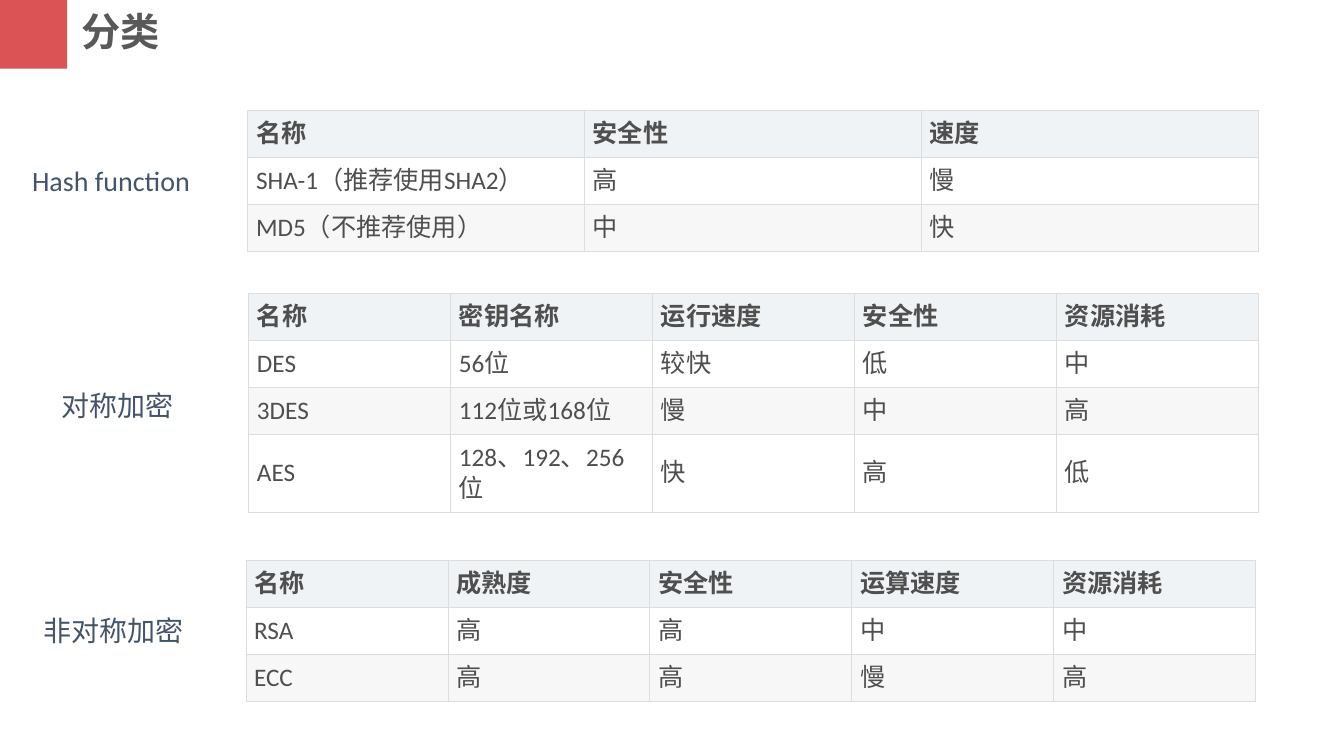
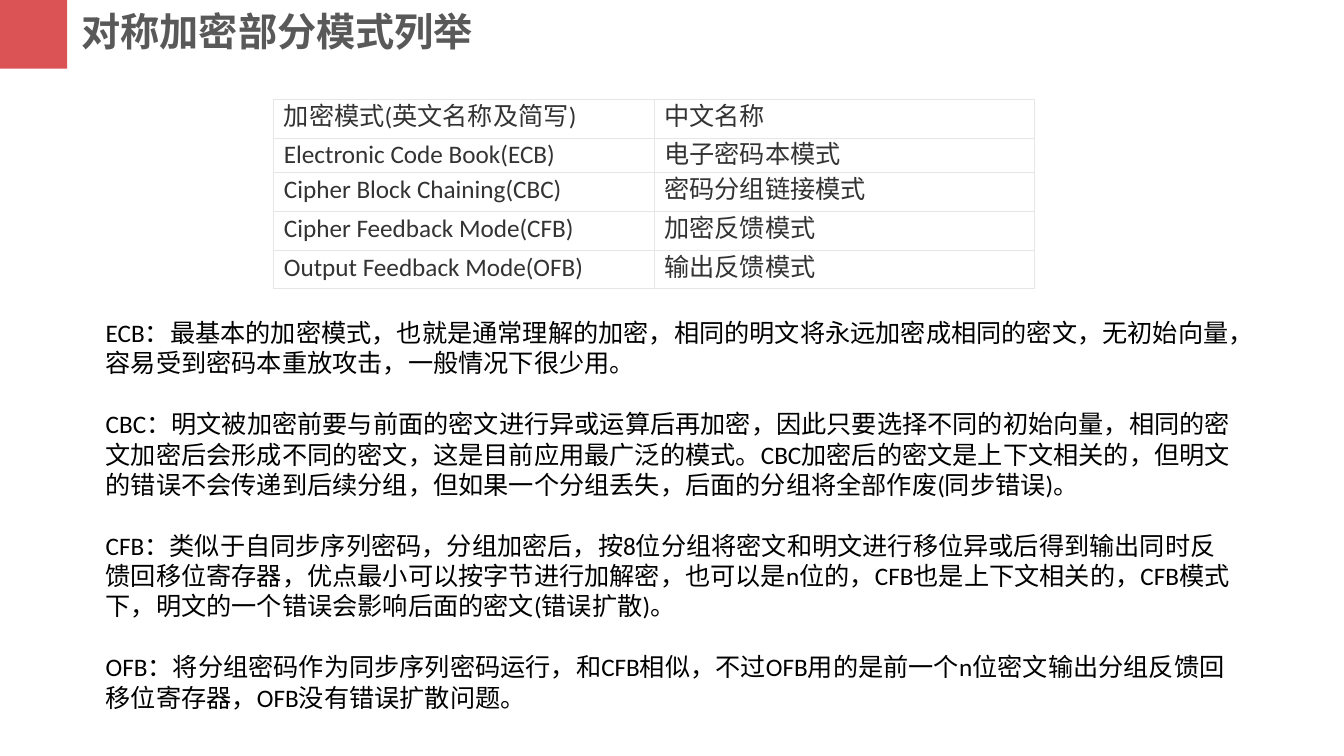
from lxml.etree import SubElement
from pptx import Presentation
from pptx.dml.color import RGBColor
from pptx.enum.shapes import MSO_SHAPE
from pptx.enum.text import MSO_ANCHOR
from pptx.oxml.ns import qn
from pptx.util import Pt

RED, TITLE_GREY, LABEL_BLUE, BLACK = "DB5355", "595959", "44546A", "000000"
TITLE_FONT, TEXT_FONT = "Noto Sans CJK SC", "Calibri"

# Slide 1: label with its place, then the table with its place
CLASSES = [
    {
        "label": "Hash function", "label_at": (15.8, 113, 129, 31.7),
        "table_at": (177.1, 78.7), "heights": [33.6] * 3,
        "rows": [
            ("名称", "安全性", "速度"),
            ("SHA-1（推荐使用SHA2）", "高", "慢"),
            ("MD5（不推荐使用）", "中", "快"),
        ],
    },
    {
        "label": "对称加密", "label_at": (36.7, 274.3, 95, 31.7),
        "table_at": (177.8, 209.5), "heights": [33.6] * 3 + [55.5],
        "rows": [
            ("名称", "密钥名称", "运行速度", "安全性", "资源消耗"),
            ("DES", "56位", "较快", "低", "中"),
            ("3DES", "112位或168位", "慢", "中", "高"),
            ("AES", "128、192、256位", "快", "高", "低"),
        ],
    },
    {
        "label": "非对称加密", "label_at": (23.8, 434.9, 115.2, 31.7),
        "table_at": (175.7, 400.3), "heights": [33.6] * 3,
        "rows": [
            ("名称", "成熟度", "安全性", "运算速度", "资源消耗"),
            ("RSA", "高", "高", "中", "中"),
            ("ECC", "高", "高", "慢", "高"),
        ],
    },
]

# Slide 2
MODES = [
    ("加密模式(英文名称及简写)", "中文名称"),
    ("Electronic Code Book(ECB)", "电子密码本模式"),
    ("Cipher Block Chaining(CBC)", "密码分组链接模式"),
    ("Cipher Feedback Mode(CFB)", "加密反馈模式"),
    ("Output Feedback Mode(OFB)", "输出反馈模式"),
]
MODE_HEIGHTS = [27.7, 24.7, 27.7, 27.7, 27.7]
MODE_NOTES = [
    "ECB：最基本的加密模式，也就是通常理解的加密，相同的明文将永远加密成相同的密文，无初始向量，容易受到密码本重放攻击，一般情况下很少用。",
    "CBC：明文被加密前要与前面的密文进行异或运算后再加密，因此只要选择不同的初始向量，相同的密文加密后会形成不同的密文，这是目前应用最广泛的模式。CBC加密后的密文是上下文相关的，但明文的错误不会传递到后续分组，但如果一个分组丢失，后面的分组将全部作废(同步错误)。",
    "CFB：类似于自同步序列密码，分组加密后，按8位分组将密文和明文进行移位异或后得到输出同时反馈回移位寄存器，优点最小可以按字节进行加解密，也可以是n位的，CFB也是上下文相关的，CFB模式下，明文的一个错误会影响后面的密文(错误扩散)。",
    "OFB：将分组密码作为同步序列密码运行，和CFB相似，不过OFB用的是前一个n位密文输出分组反馈回移位寄存器，OFB没有错误扩散问题。",
]

# Table looks: fills are for the header, odd body rows and even body rows
CLASS_LOOK = {"color": "4F4F4F", "border": "DDDDDD", "bold_header": True,
              "fills": ("EFF3F5", "FFFFFF", "F7F7F7"),
              "anchor": MSO_ANCHOR.MIDDLE, "insets": (5.8, 5.8)}
MODE_LOOK = {"color": "333333", "border": "E6E6E6", "bold_header": False,
             "fills": ("FFFFFF", "FFFFFF", "FFFFFF"),
             "anchor": MSO_ANCHOR.TOP, "insets": (7.2, 1.4)}


def rgb(value):
    return RGBColor.from_string(value)


def style(para, size, color, name=TEXT_FONT, bold=False):
    font = para.font
    font.size, font.bold, font.name = Pt(size), bold, name
    font.color.rgb = rgb(color)
    SubElement(para._p.pPr.find(qn("a:defRPr")), qn("a:ea"), typeface=name)


def add_text(page, place, texts, size, color, wrap=True, gap=0, **font):
    box = page.shapes.add_textbox(*map(Pt, place))
    frame = box.text_frame
    frame.word_wrap = wrap
    frame.text = "\n".join(texts)
    for para in frame.paragraphs:
        style(para, size, color, **font)
        para.space_after = Pt(gap)


def add_page(deck, title):
    """Add a blank slide with the red corner square and the title."""
    page = deck.slides.add_slide(deck.slide_layouts[6])
    corner = page.shapes.add_shape(MSO_SHAPE.RECTANGLE, 0, 0, Pt(48), Pt(49))
    corner.shadow.inherit = False
    corner.fill.solid()
    corner.fill.fore_color.rgb = rgb(RED)
    corner.line.fill.background()
    add_text(page, (51.1, 2, 353, 41), [title], 28, TITLE_GREY,
             name=TITLE_FONT, bold=True)
    return page


def set_borders(cell, color):
    """Put thin lines round a cell, ahead of its fill as the schema asks."""
    properties = cell._tc.get_or_add_tcPr()
    for index, side in enumerate(("lnL", "lnR", "lnT", "lnB")):
        line = SubElement(properties, qn(f"a:{side}"), w=str(Pt(0.75)))
        fill = SubElement(line, qn("a:solidFill"))
        SubElement(fill, qn("a:srgbClr"), val=color)
        properties.insert(index, line)


def add_grid(page, place, width, heights, rows, look):
    left, top = place
    columns = len(rows[0])
    table = page.shapes.add_table(len(rows), columns, Pt(left), Pt(top),
                                  Pt(width), Pt(sum(heights))).table
    for column in table.columns:
        column.width = Pt(width / columns)
    header_fill, *body_fills = look["fills"]
    side, end = map(Pt, look["insets"])
    for r, texts in enumerate(rows):
        table.rows[r].height = Pt(heights[r])
        for c, text in enumerate(texts):
            cell = table.cell(r, c)
            cell.text = text
            cell.vertical_anchor = look["anchor"]
            cell.margin_left = cell.margin_right = side
            cell.margin_top = cell.margin_bottom = end
            cell.fill.solid()
            fill = body_fills[(r - 1) % 2] if r else header_fill
            cell.fill.fore_color.rgb = rgb(fill)
            set_borders(cell, look["border"])
            style(cell.text_frame.paragraphs[0], 18, look["color"],
                  bold=look["bold_header"] and r == 0)
    table.first_row = look["bold_header"]
    table.horz_banding = False


def main():
    deck = Presentation()
    deck.slide_width, deck.slide_height = Pt(960), Pt(540)

    page = add_page(deck, "分类")
    for group in CLASSES:
        add_grid(page, group["table_at"], 721.5, group["heights"],
                 group["rows"], CLASS_LOOK)
        add_text(page, group["label_at"], [group["label"]], 20, LABEL_BLUE,
                 wrap=False)

    page = add_page(deck, "对称加密部分模式列举")
    add_text(page, (68.4, 223.2, 817.2, 291), MODE_NOTES, 18, BLACK, gap=22)
    add_grid(page, (195.6, 70.9), 543.6, MODE_HEIGHTS, MODES, MODE_LOOK)

    deck.save("out.pptx")


if __name__ == "__main__":
    main()
